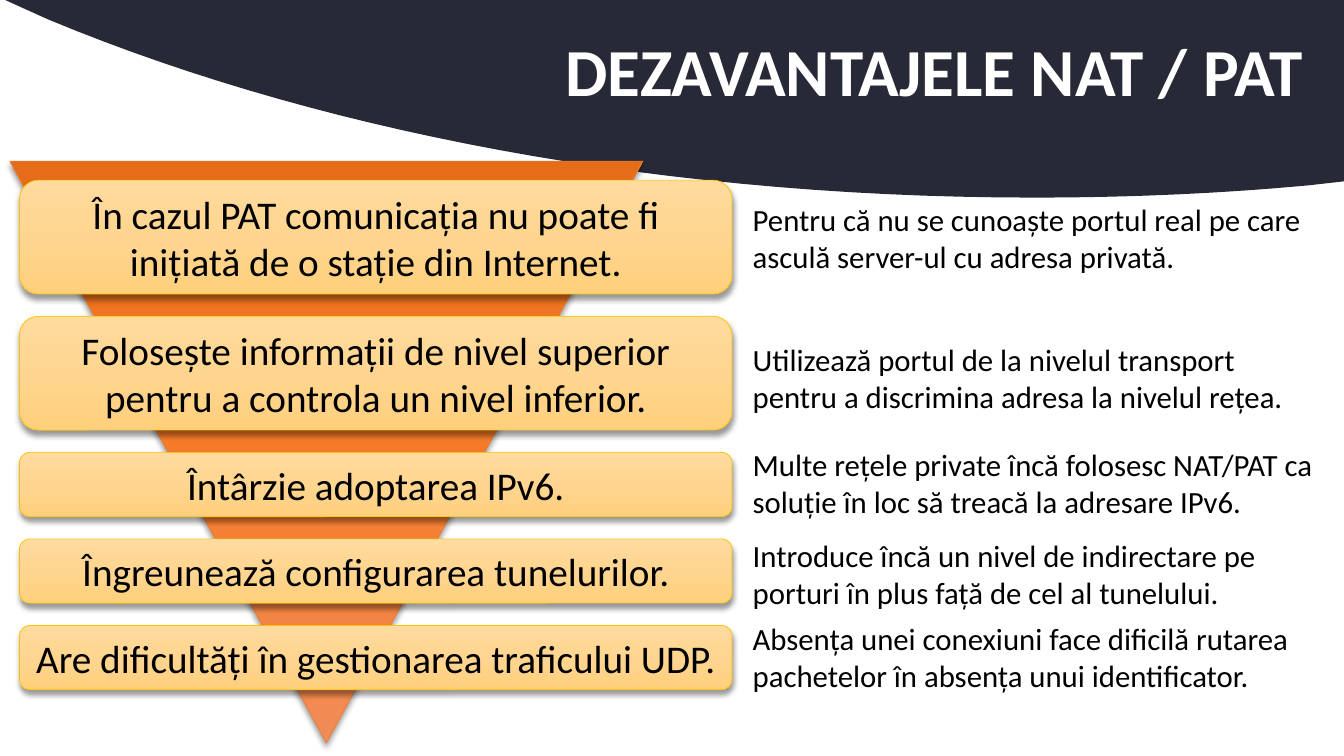
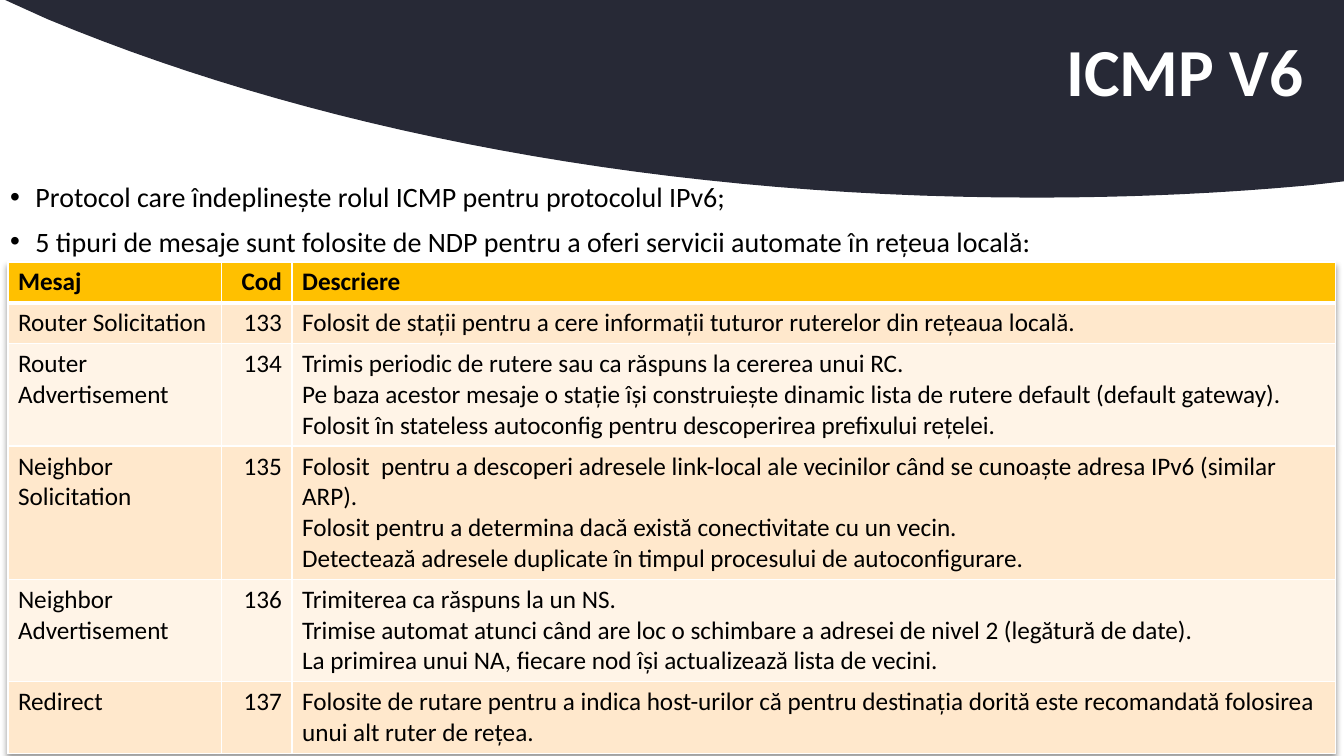
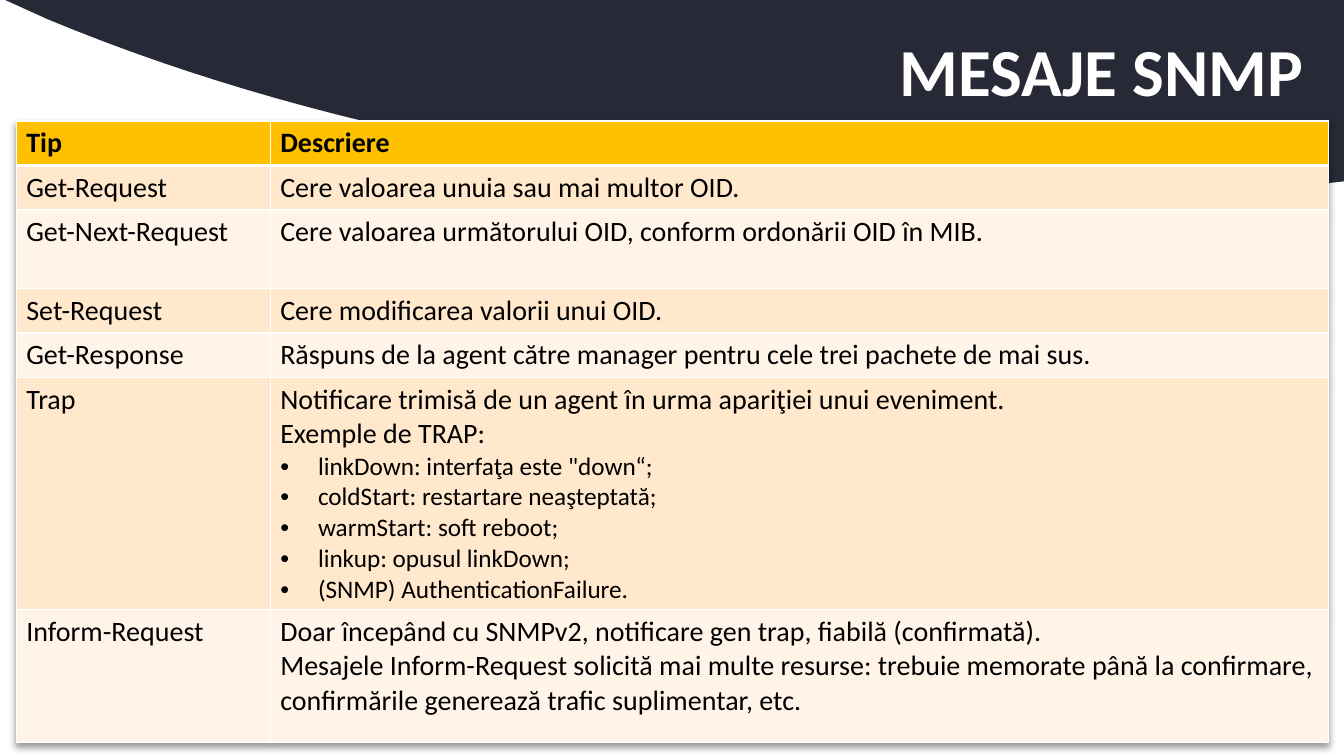
"""Builds three slides about NAT / PAT, ICMP v6 and SNMP."""
from copy import deepcopy
from typing import NamedTuple

from lxml import etree
from pptx import Presentation
from pptx.dml.color import RGBColor
from pptx.enum.shapes import MSO_SHAPE
from pptx.enum.text import MSO_ANCHOR, PP_ALIGN
from pptx.oxml.ns import qn
from pptx.util import Cm, Pt

TRIANGLE = MSO_SHAPE.ISOSCELES_TRIANGLE
ROUNDED = MSO_SHAPE.ROUNDED_RECTANGLE
MIDDLE = MSO_ANCHOR.MIDDLE
LEFT, CENTER, RIGHT = PP_ALIGN.LEFT, PP_ALIGN.CENTER, PP_ALIGN.RIGHT

FONT = "Calibri"
BLACK = RGBColor(0x00, 0x00, 0x00)
WHITE = RGBColor(0xFF, 0xFF, 0xFF)
NAVY = RGBColor(0x27, 0x29, 0x36)
AMBER = RGBColor(0xFF, 0xC0, 0x00)
ORANGE = RGBColor(0xED, 0x7D, 0x31)
ROW_COLORS = (RGBColor(0xFF, 0xE8, 0xCC), RGBColor(0xFF, 0xF4, 0xE7))
CARD_GRADIENT = (RGBColor(0xFF, 0xDB, 0x9E), RGBColor(0xFF, 0xD5, 0x90), RGBColor(0xFF, 0xD0, 0x7C))
TRIANGLE_GRADIENT = (RGBColor(0xF1, 0x8C, 0x57), RGBColor(0xF6, 0x7B, 0x28), RGBColor(0xE5, 0x6C, 0x19))

TITLE_AND_BODY, TITLE_ONLY = 1, 5
BAND_EDGE = [(0.13, 0), (33.87, 0), (33.87, 4.57), (32.99, 4.67)]
BAND_CURVES = [
    ((32.99, 4.67), (30.73, 4.88), (28.42, 4.98), (26.06, 4.98)),
    ((26.06, 4.98), (16.61, 4.98), (7.95, 3.3), (1.19, 0.48)),
]
CURVE_STEPS = 30

CARD_GAP = 0.56
TALL_CARD, LOW_CARD = 2.87, 1.62
DRAWBACKS = [
    (TALL_CARD, "În cazul PAT comunicația nu poate fi inițiată de o stație din Internet.",
     4.93, "Pentru că nu se cunoaște portul real pe care asculă server-ul cu adresa privată."),
    (TALL_CARD, "Folosește informații de nivel superior pentru a controla un nivel inferior.",
     8.46, "Utilizează portul de la nivelul transport pentru a discrimina adresa la nivelul rețea."),
    (LOW_CARD, "Întârzie adoptarea IPv6.",
     11.1, "Multe rețele private încă folosesc NAT/PAT ca soluție în loc să treacă la adresare IPv6."),
    (LOW_CARD, "Îngreunează configurarea tunelurilor.",
     13.39, "Introduce încă un nivel de indirectare pe porturi în plus față de cel al tunelului."),
    (LOW_CARD, "Are dificultăți în gestionarea traficului UDP.",
     15.49, "Absența unei conexiuni face dificilă rutarea pachetelor în absența unui identificator."),
]


class Bullet(NamedTuple):
    """A bulleted line inside a table cell."""
    text: str


ICMP_POINTS = [
    "Protocol care îndeplinește rolul ICMP pentru protocolul IPv6;",
    "5 tipuri de mesaje sunt folosite de NDP pentru a oferi servicii automate în rețeua locală:",
]
ICMP_ROWS = [
    (["Mesaj"], ["Cod"], ["Descriere"]),
    (["Router Solicitation"], ["133"],
     ["Folosit de stații pentru a cere informații tuturor ruterelor din rețeaua locală."]),
    (["Router Advertisement"], ["134"],
     ["Trimis periodic de rutere sau ca răspuns la cererea unui RC.",
      "Pe baza acestor mesaje o stație își construiește dinamic lista de rutere default (default gateway).",
      "Folosit în stateless autoconfig pentru descoperirea prefixului rețelei."]),
    (["Neighbor Solicitation"], ["135"],
     ["Folosit  pentru a descoperi adresele link-local ale vecinilor când se cunoaște adresa IPv6 (similar ARP).",
      "Folosit pentru a determina dacă există conectivitate cu un vecin.",
      "Detectează adresele duplicate în timpul procesului de autoconfigurare."]),
    (["Neighbor Advertisement"], ["136"],
     ["Trimiterea ca răspuns la un NS.",
      "Trimise automat atunci când are loc o schimbare a adresei de nivel 2 (legătură de date).",
      "La primirea unui NA, fiecare nod își actualizează lista de vecini."]),
    (["Redirect"], ["137"],
     ["Folosite de rutare pentru a indica host-urilor că pentru destinația dorită este recomandată "
      "folosirea unui alt ruter de rețea."]),
]
SNMP_ROWS = [
    (["Tip"], ["Descriere"]),
    (["Get-Request"], ["Cere valoarea unuia sau mai multor OID."]),
    (["Get-Next-Request"], ["Cere valoarea următorului OID, conform ordonării OID în MIB."]),
    (["Set-Request"], ["Cere modificarea valorii unui OID."]),
    (["Get-Response"], ["Răspuns de la agent către manager pentru cele trei pachete de mai sus."]),
    (["Trap"],
     ["Notificare trimisă de un agent în urma apariţiei unui eveniment.",
      "Exemple de TRAP:",
      Bullet('linkDown: interfaţa este "down“;'),
      Bullet("coldStart: restartare neaşteptată;"),
      Bullet("warmStart: soft reboot;"),
      Bullet("linkup: opusul linkDown;"),
      Bullet("(SNMP) AuthenticationFailure.")]),
    (["Inform-Request"],
     ["Doar începând cu SNMPv2, notificare gen trap, fiabilă (confirmată).\n"
      "Mesajele Inform-Request solicită mai multe resurse: trebuie memorate până la confirmare, "
      "confirmările generează trafic suplimentar, etc."]),
]


def curve_points(start, first, second, end):
    """Returns points along a cubic curve, without its start."""
    points = []
    for step in range(1, CURVE_STEPS + 1):
        t = step / CURVE_STEPS
        weights = ((1 - t) ** 3, 3 * t * (1 - t) ** 2, 3 * t ** 2 * (1 - t), t ** 3)
        points.append(tuple(
            sum(weight * value for weight, value in zip(weights, axis))
            for axis in zip(start, first, second, end)))
    return points


def style(paragraph, size, alignment=LEFT, color=BLACK, bold=False):
    """Sets the alignment and font of a paragraph."""
    paragraph.alignment = alignment
    font = paragraph.font
    font.name, font.size, font.bold = FONT, Pt(size), bold
    font.color.rgb = color


def add_bullet(paragraph, indent):
    """Gives a paragraph a round bullet with a hanging indent."""
    properties = paragraph._p.get_or_add_pPr()
    properties.set("marL", str(Cm(indent)))
    properties.set("indent", str(-Cm(indent)))
    etree.SubElement(properties, qn("a:buFont"), typeface="Arial")
    etree.SubElement(properties, qn("a:buChar"), char="•")


def add_shadow(effects):
    """Fills an effect list with a soft shadow below."""
    shadow = etree.SubElement(effects, qn("a:outerShdw"), blurRad=str(Pt(4)), dist=str(Pt(3)),
                              dir="5400000", rotWithShape="0")
    color = etree.SubElement(shadow, qn("a:srgbClr"), val=str(BLACK))
    etree.SubElement(color, qn("a:alpha"), val="40000")


def add_borders(cell, top, bottom):
    """Draws white borders around a table cell."""
    properties = cell._tc.get_or_add_tcPr()
    for side, width in (("L", 1), ("R", 1), ("T", top), ("B", bottom)):
        line = etree.SubElement(properties, qn(f"a:ln{side}"), w=str(Pt(width)))
        fill = etree.SubElement(line, qn("a:solidFill"))
        etree.SubElement(fill, qn("a:srgbClr"), val=str(WHITE))


class Deck:
    """Holds the shared style and the current slide."""

    def __init__(self):
        self.presentation = Presentation()
        self.presentation.slide_width = Cm(33.87)
        self.presentation.slide_height = Cm(19.05)
        self.slide = None

    def start(self, title, layout=TITLE_ONLY):
        """Adds a slide with its title."""
        first = self.slide is None
        self.slide = self.presentation.slides.add_slide(self.presentation.slide_layouts[layout])
        if first:
            self.master_band()
        shape = self.slide.shapes.title
        self.place(shape, 2.33, 0.05, 31.54, 3.68)
        frame = shape.text_frame
        frame.vertical_anchor = MIDDLE
        frame.margin_right = Cm(1.02)
        paragraph = frame.paragraphs[0]
        paragraph.text = title
        paragraph.line_spacing = 0.9
        style(paragraph, 48, RIGHT, WHITE, bold=True)

    def place(self, shape, left, top, width, height):
        """Moves and sizes a shape."""
        shape.left, shape.top = Cm(left), Cm(top)
        shape.width, shape.height = Cm(width), Cm(height)

    def master_band(self):
        """Draws the curved band and moves it to the slide master."""
        points = BAND_EDGE + [point for curve in BAND_CURVES for point in curve_points(*curve)]
        (start_x, start_y), *others = [(Cm(x), Cm(y)) for x, y in points]
        builder = self.slide.shapes.build_freeform(start_x, start_y)
        builder.add_line_segments(others)
        band = builder.convert_to_shape()
        band.shadow.inherit = False
        band.fill.solid()
        band.fill.fore_color.rgb = NAVY
        band.line.fill.background()
        next(band.element.iter(qn("p:cNvPr"))).set("id", "100")
        self.presentation.slide_master.placeholders[0].element.addprevious(band.element)

    def gradient_shape(self, kind, left, top, width, height, colors, line_color):
        """Adds a shape with a vertical gradient and a shadow."""
        shape = self.slide.shapes.add_shape(kind, Cm(left), Cm(top), Cm(width), Cm(height))
        shape.fill.gradient()
        shape.fill.gradient_angle = 270
        first_stop = next(shape.element.iter(qn("a:gs")))
        first_stop.addnext(deepcopy(first_stop))
        for stop, position, color in zip(shape.fill.gradient_stops, (0, 0.5, 1), colors):
            stop.position = position
            stop.color.rgb = color
        shape.line.color.rgb = line_color
        shape.line.width = Pt(0.5)
        shape.shadow.inherit = False
        add_shadow(next(shape.element.iter(qn("a:effectLst"))))
        return shape

    def card(self, top, height, text):
        """Adds a rounded card with centred text."""
        shape = self.gradient_shape(ROUNDED, 0.49, top, 17.96, height, CARD_GRADIENT, AMBER)
        frame = shape.text_frame
        frame.word_wrap = True
        frame.vertical_anchor = MIDDLE
        frame.text = text
        style(frame.paragraphs[0], 28, CENTER)

    def note(self, top, text):
        """Adds an explanation beside a card."""
        frame = self.slide.shapes.add_textbox(Cm(18.72), Cm(top), Cm(14.71), Cm(2.13)).text_frame
        frame.word_wrap = True
        frame.text = text
        style(frame.paragraphs[0], 22)

    def body(self, lines, left, top, width, height):
        """Writes a bulleted list into the body placeholder."""
        shape = self.slide.placeholders[1]
        self.place(shape, left, top, width, height)
        frame = shape.text_frame
        frame.text = "\n".join(lines)
        for index, paragraph in enumerate(frame.paragraphs):
            paragraph.line_spacing = 0.9
            paragraph.space_before = Pt(10 if index else 0)
            add_bullet(paragraph, 0.64)
            style(paragraph, 20)

    def table(self, rows, left, top, widths, heights, size, alignments):
        """Adds a table with an amber header and banded rows."""
        frame = self.slide.shapes.add_table(len(rows), len(widths), Cm(left), Cm(top),
                                            Cm(sum(widths)), Cm(sum(heights)))
        table = frame.table
        properties = next(frame.element.iter(qn("a:tblPr")))
        effects = etree.Element(qn("a:effectLst"))
        properties.insert(0, effects)
        add_shadow(effects)
        for column, width in zip(table.columns, widths):
            column.width = Cm(width)
        for index, (row, height) in enumerate(zip(table.rows, heights)):
            row.height = Cm(height)
            for cell, lines, alignment in zip(row.cells, rows[index], alignments):
                add_borders(cell, 3 if index == 1 else 1, 1 if index else 3)
                cell.fill.solid()
                cell.fill.fore_color.rgb = ROW_COLORS[(index - 1) % 2] if index else AMBER
                self.cell_text(cell.text_frame, lines, size, alignment, bold=index == 0)

    def cell_text(self, frame, lines, size, alignment, bold):
        """Writes plain and bulleted lines into a cell."""
        for index, line in enumerate(lines):
            paragraph = frame.add_paragraph() if index else frame.paragraphs[0]
            if isinstance(line, Bullet):
                paragraph.text = line.text
                add_bullet(paragraph, 0.95)
                style(paragraph, 18, alignment, bold=bold)
            else:
                paragraph.text = line
                style(paragraph, size, alignment, bold=bold)


def main():
    """Builds and saves the slides."""
    deck = Deck()

    deck.start("DEZAVANTAJELE NAT / PAT")
    triangle = deck.gradient_shape(TRIANGLE, 0.25, 4.06, 15.95, 14.66, TRIANGLE_GRADIENT, ORANGE)
    triangle.rotation = 180
    card_top = 4.54
    for height, drawback, note_top, reason in DRAWBACKS:
        deck.card(card_top, height, drawback)
        deck.note(note_top, reason)
        card_top += height + CARD_GAP

    deck.start("ICMP V6", TITLE_AND_BODY)
    deck.body(ICMP_POINTS, 0, 4.5, 33.87, 2.49)
    deck.table(ICMP_ROWS, 0.2, 6.6, (5.38, 1.78, 26.29), [1.03] * len(ICMP_ROWS), 18,
               (LEFT, RIGHT, LEFT))

    deck.start("MESAJE SNMP")
    deck.table(SNMP_ROWS, 0.41, 3.05, (6.4, 26.67), (1.12, 1.12, 1.98, 1.12, 1.12, 5.84, 3.35), 20,
               (LEFT, LEFT))

    deck.presentation.save("out.pptx")


if __name__ == "__main__":
    main()
